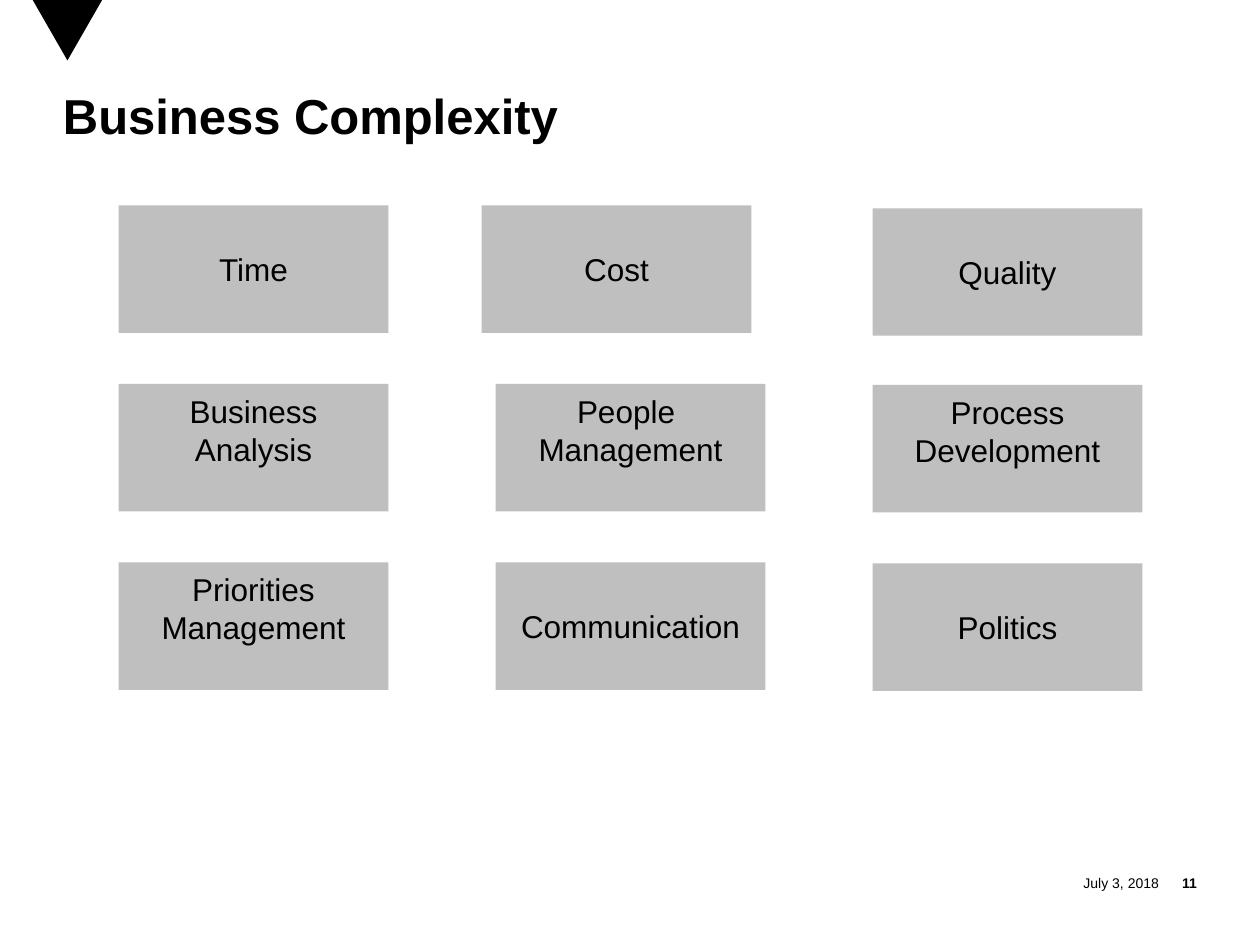
from dataclasses import dataclass

from pptx import Presentation
from pptx.dml.color import RGBColor
from pptx.enum.shapes import MSO_SHAPE
from pptx.enum.text import MSO_ANCHOR, PP_ALIGN
from pptx.shapes.autoshape import Shape
from pptx.slide import Slide
from pptx.util import Cm, Pt

RECTANGLE = MSO_SHAPE.RECTANGLE
TOP, MIDDLE = MSO_ANCHOR.TOP, MSO_ANCHOR.MIDDLE
LEFT, CENTER, RIGHT = PP_ALIGN.LEFT, PP_ALIGN.CENTER, PP_ALIGN.RIGHT

COLORS = {"ink": "000000", "card": "BFBFBF"}
FONT = "Arial"
GRID_LEFT, GRID_TOP = 2.39, 4.14
COLUMN_STEP, ROW_STEP = 7.6, 3.6
CARD_WIDTH, CARD_HEIGHT = 5.44, 2.57
INSET_X, INSET_Y = 0.25, 0.13
LINE_HEIGHT = 0.73


@dataclass(frozen=True)
class Card:
    lines: tuple[str, ...]
    column: int
    row: int
    shift_x: float = 0
    shift_y: float = 0


@dataclass(frozen=True)
class Label:
    text: str
    left: float
    top: float
    width: float
    height: float
    size: int
    bold: bool = False
    align: PP_ALIGN = RIGHT
    anchor: MSO_ANCHOR = MIDDLE
    wrap: bool = True
    spacing: float = 1.0


CARDS = (
    Card(("Time",), 0, 0),
    Card(("Cost",), 1, 0, shift_x=-0.28),
    Card(("Quality",), 2, 0, shift_y=0.06),
    Card(("Business", "Analysis"), 0, 1),
    Card(("People ", "Management"), 1, 1),
    Card(("Process", "Development"), 2, 1, shift_y=0.02),
    Card(("Priorities", "Management"), 0, 2),
    Card(("Communication",), 1, 2),
    Card(("Politics",), 2, 2, shift_y=0.02),
)

LABELS = (
    Label("July 3, 2018", 20.57, 17.55, 2.8, 0.5, 8, wrap=False),
    Label("11", 23.37, 17.55, 0.76, 0.5, 8, bold=True),
    Label("Business Complexity", 1.27, 1.9, 22.86, 3.05, 28, bold=True,
          align=LEFT, anchor=TOP, spacing=0.85),
)


def write_text(shape: Shape, lines: tuple[str, ...], *, size: int,
               bold: bool = False, align: PP_ALIGN = CENTER,
               anchor: MSO_ANCHOR = MIDDLE, wrap: bool = True,
               spacing: float = 1.0,
               insets: tuple[float, float, float, float] = (0, 0, 0, 0)) -> None:
    frame = shape.text_frame
    frame.word_wrap = wrap
    frame.vertical_anchor = anchor
    (frame.margin_left, frame.margin_top,
     frame.margin_right, frame.margin_bottom) = map(Cm, insets)
    frame.text = "\n".join(lines)
    for paragraph in frame.paragraphs:
        paragraph.alignment = align
        paragraph.line_spacing = spacing
        font = paragraph.font
        font.name = FONT
        font.size = Pt(size)
        font.bold = bold
        font.color.rgb = RGBColor.from_string(COLORS["ink"])


def paint(shape: Shape, color: str) -> None:
    shape.shadow.inherit = False
    shape.fill.solid()
    shape.fill.fore_color.rgb = RGBColor.from_string(COLORS[color])
    shape.line.fill.background()


def draw_marker(slide: Slide) -> None:
    builder = slide.shapes.build_freeform(Cm(0.66), Cm(0))
    builder.add_line_segments([(Cm(1.36), Cm(1.22)), (Cm(2.06), Cm(0))])
    paint(builder.convert_to_shape(), "ink")


def draw_label(slide: Slide, label: Label) -> None:
    shape = slide.shapes.add_textbox(
        Cm(label.left), Cm(label.top), Cm(label.width), Cm(label.height))
    write_text(shape, (label.text,), size=label.size, bold=label.bold,
               align=label.align, anchor=label.anchor, wrap=label.wrap,
               spacing=label.spacing)


def draw_card(slide: Slide, card: Card) -> None:
    shape = slide.shapes.add_shape(
        RECTANGLE,
        Cm(GRID_LEFT + card.column * COLUMN_STEP + card.shift_x),
        Cm(GRID_TOP + card.row * ROW_STEP + card.shift_y),
        Cm(CARD_WIDTH), Cm(CARD_HEIGHT))
    paint(shape, "card")
    bottom = INSET_Y + (len(card.lines) - 1) * LINE_HEIGHT
    write_text(shape, card.lines, size=18,
               insets=(INSET_X, INSET_Y, INSET_X, bottom))


def main() -> None:
    presentation = Presentation()
    presentation.slide_width, presentation.slide_height = Cm(25.4), Cm(19.05)
    slide = presentation.slides.add_slide(presentation.slide_layouts[6])
    draw_marker(slide)
    for label in LABELS:
        draw_label(slide, label)
    for card in CARDS:
        draw_card(slide, card)
    presentation.save("out.pptx")


if __name__ == "__main__":
    main()
